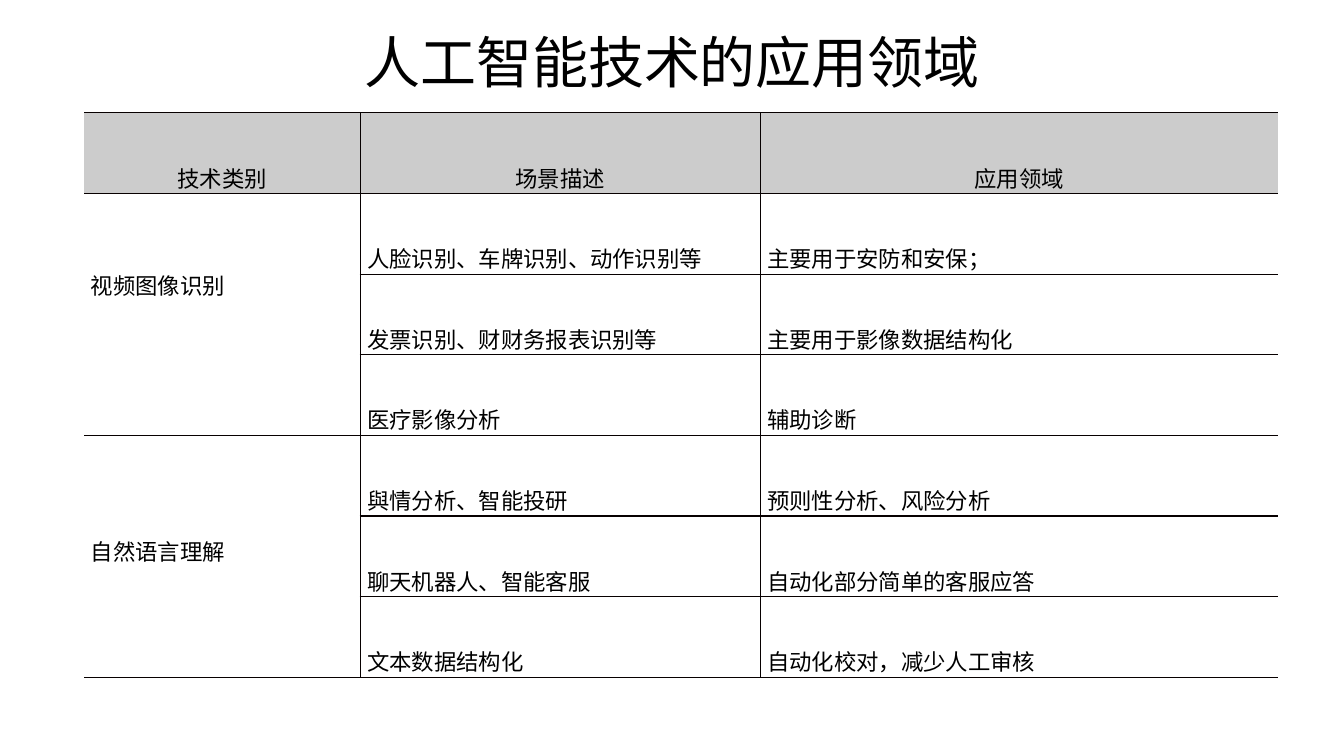
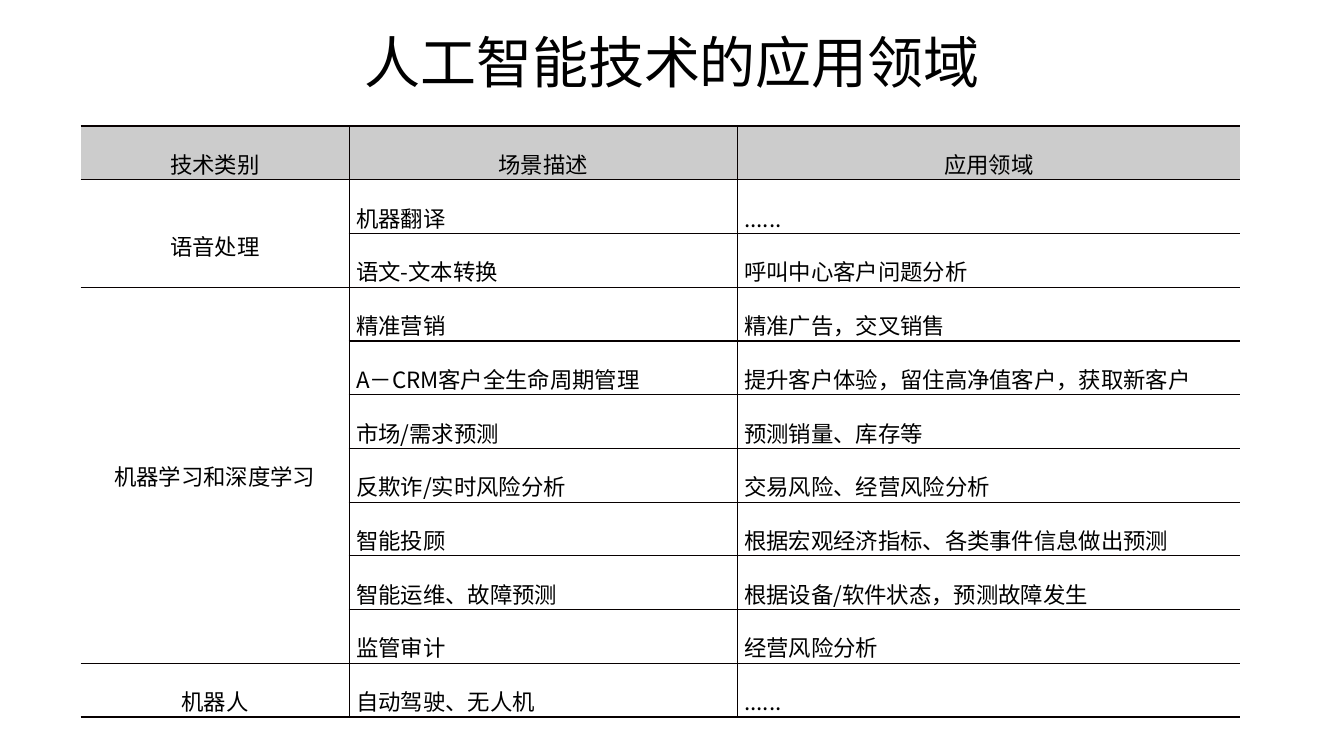
"""Build two slides of tables on the application fields of artificial intelligence."""
from lxml.etree import SubElement
from pptx import Presentation
from pptx.dml.color import RGBColor
from pptx.enum.text import MSO_ANCHOR, PP_ALIGN
from pptx.oxml.ns import qn
from pptx.util import Pt

COLORS = {"text": "000000", "rule": "070000", "header": "CCCCCC"}
FONT = "Noto Sans CJK SC"
TITLE = "人工智能技术的应用领域"
HEADER = ("技术类别", "场景描述", "应用领域")

TABLES = [
    {
        "left": 60, "top": 80.6, "cols": (197.3, 285.8, 369.8), "row": 57.6,
        "align": PP_ALIGN.LEFT, "anchor": MSO_ANCHOR.TOP,
        "groups": [
            ("视频图像识别", 53.5, [
                ("人脸识别、车牌识别、动作识别等", "主要用于安防和安保；"),
                ("发票识别、财财务报表识别等", "主要用于影像数据结构化"),
                ("医疗影像分析", "辅助诊断"),
            ]),
            ("自然语言理解", 71, [
                ("與情分析、智能投研", "预则性分析、风险分析"),
                ("聊天机器人、智能客服", "自动化部分简单的客服应答"),
                ("文本数据结构化", "自动化校对，减少人工审核"),
            ]),
        ],
    },
    {
        "left": 57.6, "top": 90, "cols": (191.8, 277.2, 359.3), "row": 38.4,
        "align": PP_ALIGN.CENTER, "anchor": MSO_ANCHOR.MIDDLE,
        "groups": [
            ("语音处理", 18, [
                ("机器翻译", "......"),
                ("语文-文本转换", "呼叫中心客户问题分析"),
            ]),
            ("机器学习和深度学习", 0, [
                ("精准营销", "精准广告，交叉销售"),
                ("A－CRM客户全生命周期管理", "提升客户体验，留住高净值客户，获取新客户"),
                ("市场/需求预测", "预测销量、库存等"),
                ("反欺诈/实时风险分析", "交易风险、经营风险分析"),
                ("智能投顾", "根据宏观经济指标、各类事件信息做出预测"),
                ("智能运维、故障预测", "根据设备/软件状态，预测故障发生"),
                ("监管审计", "经营风险分析"),
            ]),
            ("机器人", 0, [("自动驾驶、无人机", "......")]),
        ],
    },
]


def write(tf, text, size, align):
    p = tf.paragraphs[0]
    p.alignment = align
    r = p.add_run()
    r.text = text
    r.font.size = Pt(size)
    r.font.name = FONT
    r.font.color.rgb = RGBColor.from_string(COLORS["text"])
    SubElement(r.font._element, qn("a:ea"), typeface=FONT)


def fill_cell(cell, text, align, anchor=MSO_ANCHOR.BOTTOM, top=0):
    cell.margin_right = cell.margin_bottom = 0
    cell.margin_left = Pt(5 if align == PP_ALIGN.LEFT else 0)
    cell.margin_top = Pt(top)
    cell.vertical_anchor = anchor
    write(cell.text_frame, text, 16, align)


prs = Presentation()
prs.slide_width, prs.slide_height = Pt(960), Pt(540)

for data in TABLES:
    s = prs.slides.add_slide(prs.slide_layouts[6])
    tf = s.shapes.add_textbox(Pt(258), Pt(20), Pt(444), Pt(50)).text_frame
    tf.word_wrap = True
    tf.margin_left = tf.margin_right = tf.margin_top = tf.margin_bottom = 0
    write(tf, TITLE, 40, PP_ALIGN.CENTER)

    rows = 1 + sum(len(items) for _, _, items in data["groups"])
    table = s.shapes.add_table(rows, 3, Pt(data["left"]), Pt(data["top"]),
                               Pt(sum(data["cols"])), Pt(rows * data["row"])).table
    table.first_row = table.horz_banding = False
    for col, width in zip(table.columns, data["cols"]):
        col.width = Pt(width)

    for i, row in enumerate(table.rows):
        row.height = Pt(data["row"])
        for j, cell in enumerate(row.cells):
            tcPr = cell._tc.get_or_add_tcPr()
            for side, shown in (("L", j > 0), ("R", j < 2), ("T", True), ("B", True)):
                ln = SubElement(tcPr, qn("a:ln" + side), w=str(Pt(1)))
                if shown:
                    solid = SubElement(ln, qn("a:solidFill"))
                    SubElement(solid, qn("a:srgbClr"), val=COLORS["rule"])
                else:
                    SubElement(ln, qn("a:noFill"))
            if i == 0:
                cell.fill.solid()
                cell.fill.fore_color.rgb = RGBColor.from_string(COLORS["header"])
                fill_cell(cell, HEADER[j], PP_ALIGN.CENTER)
            else:
                cell.fill.background()

    first = 1
    for category, top, items in data["groups"]:
        last = first + len(items) - 1
        cell = table.cell(first, 0)
        anchor = MSO_ANCHOR.BOTTOM
        if last > first:
            cell.merge(table.cell(last, 0))
            anchor = data["anchor"]
        fill_cell(cell, category, data["align"], anchor, top)
        for i, texts in enumerate(items, first):
            for j, text in enumerate(texts, 1):
                fill_cell(table.cell(i, j), text, PP_ALIGN.LEFT)
        first = last + 1

prs.save("out.pptx")
